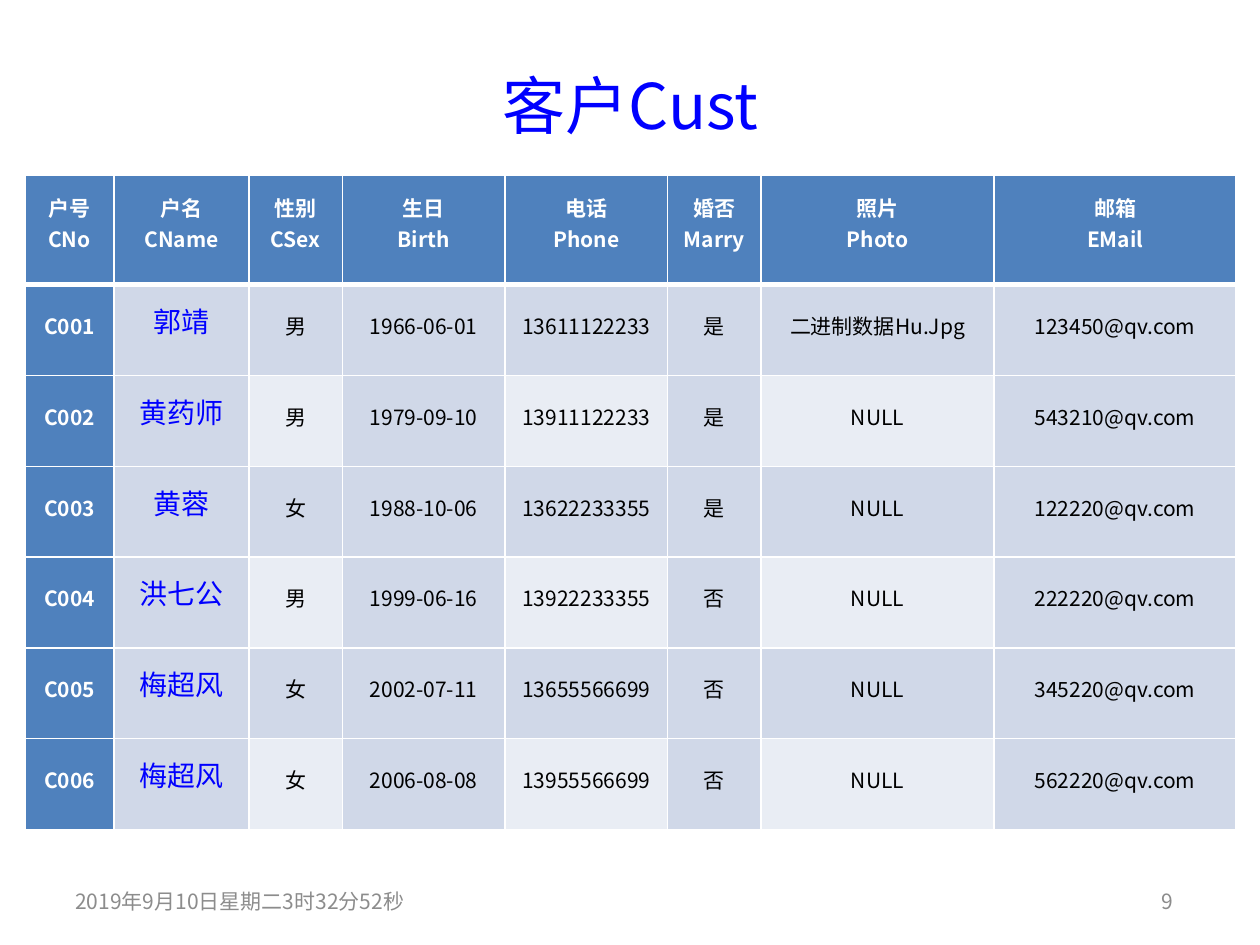
"""Build the customer table slide and save it as out.pptx."""
from dataclasses import dataclass

from lxml import etree
from pptx import Presentation
from pptx.dml.color import RGBColor
from pptx.enum.text import MSO_ANCHOR, PP_ALIGN
from pptx.oxml.ns import qn
from pptx.util import Cm, Pt

LEFT, CENTER, RIGHT = PP_ALIGN.LEFT, PP_ALIGN.CENTER, PP_ALIGN.RIGHT
MIDDLE = MSO_ANCHOR.MIDDLE


@dataclass(frozen=True)
class Theme:
    font: str = "Noto Sans CJK SC"
    blue: str = "0000FF"
    white: str = "FFFFFF"
    black: str = "000000"
    gray: str = "8C8C8C"
    header: str = "4F81BD"
    band: str = "D0D8E8"
    light_band: str = "E9EDF4"
    title_size: int = 36
    name_size: int = 16
    body_size: int = 12


THEME = Theme()


def format_text(text_frame, size, color, alignment, bold=False):
    for paragraph in text_frame.paragraphs:
        paragraph.alignment = alignment
        for run in paragraph.runs:
            run.font.size = Pt(size)
            run.font.bold = bold
            run.font.color.rgb = RGBColor.from_string(color)
            run.font.name = THEME.font
            properties = run._r.get_or_add_rPr()
            etree.SubElement(properties, qn("a:ea"), typeface=THEME.font)


def add_border(cell, side, width):
    properties = cell._tc.get_or_add_tcPr()
    line = etree.SubElement(properties, qn(f"a:ln{side}"), w=str(Pt(width)))
    fill = etree.SubElement(line, qn("a:solidFill"))
    etree.SubElement(fill, qn("a:srgbClr"), val=THEME.white)


presentation = Presentation()
presentation.slide_width = Cm(25.4)
presentation.slide_height = Cm(19.05)
slide = presentation.slides.add_slide(presentation.slide_layouts[6])

text_boxes = [
    ("客户Cust", 1.3, 1.12, 22.83, 1.96, THEME.title_size, THEME.blue, CENTER),
    ("2019年9月10日星期二3时32分52秒", 1.27, 17.65, 7.62, 1.02,
     THEME.body_size, THEME.gray, LEFT),
    ("9", 18.21, 17.65, 5.69, 1.02, THEME.body_size, THEME.gray, RIGHT),
]
for text, left, top, width, height, size, color, alignment in text_boxes:
    text_box = slide.shapes.add_textbox(Cm(left), Cm(top), Cm(width), Cm(height))
    text_frame = text_box.text_frame
    text_frame.word_wrap = True
    text_frame.vertical_anchor = MIDDLE
    text_frame.text = text
    format_text(text_frame, size, color, alignment)

column_widths = [1.8, 2.72, 1.88, 3.28, 3.28, 1.88, 4.7, 4.88]
header_height, row_height = 2.2, 1.83
rows = [
    ["户号\nCNo", "户名\nCName", "性别\nCSex", "生日\nBirth",
     "电话\nPhone", "婚否\nMarry", "照片\nPhoto", "邮箱\nEMail"],
    ["C001", "郭靖", "男", "1966-06-01", "13611122233", "是",
     "二进制数据Hu.Jpg", "123450@qv.com"],
    ["C002", "黄药师", "男", "1979-09-10", "13911122233", "是", "NULL", "543210@qv.com"],
    ["C003", "黄蓉", "女", "1988-10-06", "13622233355", "是", "NULL", "122220@qv.com"],
    ["C004", "洪七公", "男", "1999-06-16", "13922233355", "否", "NULL", "222220@qv.com"],
    ["C005", "梅超风", "女", "2002-07-11", "13655566699", "否", "NULL", "345220@qv.com"],
    ["C006", "梅超风", "女", "2006-08-08", "13955566699", "否", "NULL", "562220@qv.com"],
]
table_height = header_height + row_height * (len(rows) - 1)
table = slide.shapes.add_table(
    len(rows), len(column_widths), Cm(0.5), Cm(3.54),
    Cm(sum(column_widths)), Cm(table_height)).table
table.first_row = False
table.horz_banding = False
for column, width in zip(table.columns, column_widths):
    column.width = Cm(width)

for row_index, values in enumerate(rows):
    is_header = row_index == 0
    table.rows[row_index].height = Cm(header_height if is_header else row_height)
    for column_index, value in enumerate(values):
        cell = table.cell(row_index, column_index)
        cell.margin_left = cell.margin_right = Cm(0.05)
        cell.margin_top = cell.margin_bottom = Cm(0)
        cell.vertical_anchor = MIDDLE
        cell.text_frame.text = value

        size, color, fill = THEME.body_size, THEME.black, THEME.band
        is_heading = is_header or column_index == 0
        if is_heading:
            color, fill = THEME.white, THEME.header
        elif column_index == 1:
            size, color = THEME.name_size, THEME.blue
        elif row_index % 2 == 0 and column_index % 2 == 0:
            fill = THEME.light_band
        format_text(cell.text_frame, size, color, CENTER, is_heading)
        for paragraph_index, paragraph in enumerate(cell.text_frame.paragraphs):
            paragraph.line_spacing = Pt(9 if is_header else 12)
            if paragraph_index:
                paragraph.space_before = Pt(9)

        add_border(cell, "L", 1)
        add_border(cell, "R", 1)
        add_border(cell, "T", 3 if row_index == 1 else 1)
        add_border(cell, "B", 3 if is_header else 1)
        cell.fill.solid()
        cell.fill.fore_color.rgb = RGBColor.from_string(fill)

presentation.save("out.pptx")
